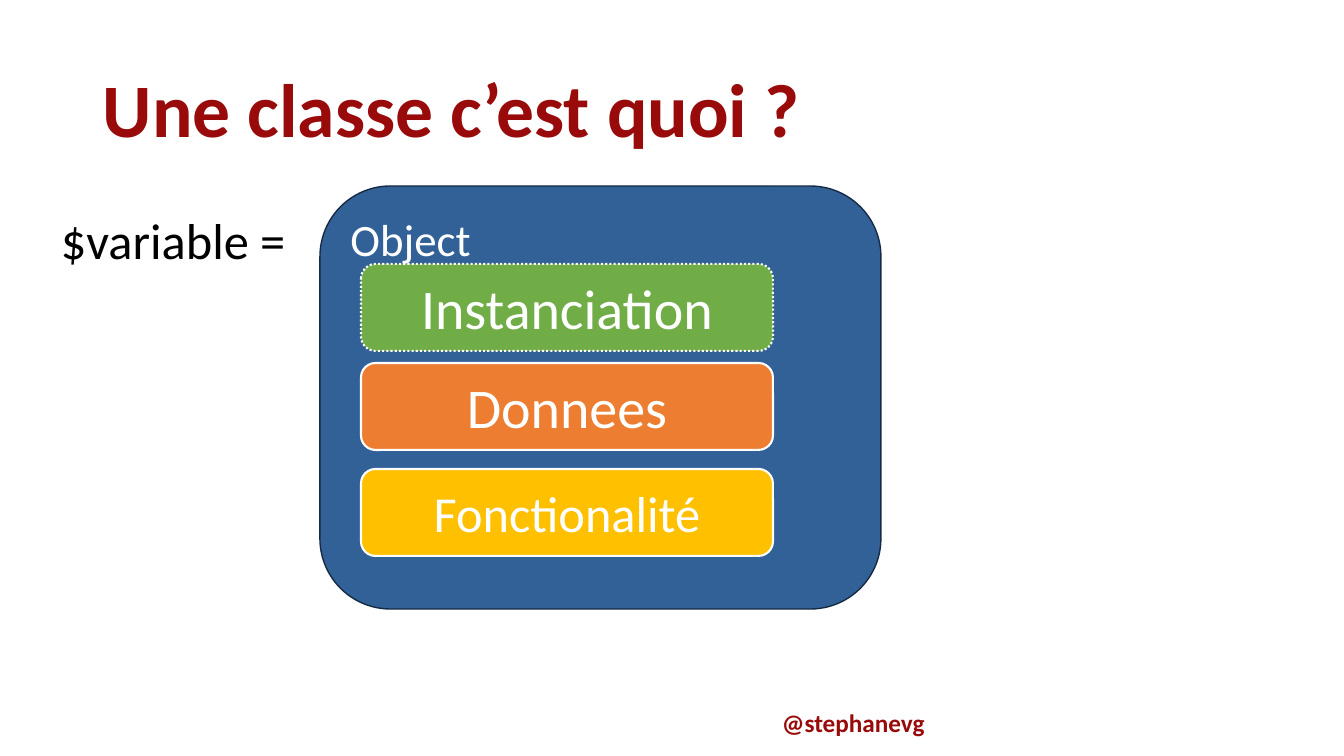
"""Build a slide that shows what a class is made of."""
from pptx import Presentation
from pptx import util as u
from pptx.dml.color import RGBColor
from pptx.enum import dml, shapes, text


class Deck:
    """Hold the style and the current slide, and draw its elements."""

    EMU_PER_PX = 914400 / 100.8
    FONT = "Calibri"
    COLORS = {
        "red": "990A0A",
        "black": "000000",
        "white": "FFFFFF",
        "blue": "326198",
        "navy": "162B43",
        "green": "70AD47",
        "orange": "ED7D31",
        "yellow": "FFC000",
    }

    def __init__(self, width, height):
        self.prs = Presentation()
        self.prs.slide_width = self.px(width)
        self.prs.slide_height = self.px(height)
        self.s = self.prs.slides.add_slide(self.prs.slide_layouts[6])

    def px(self, n):
        return u.Emu(round(n * self.EMU_PER_PX))

    def color(self, name):
        return RGBColor.from_string(self.COLORS[name])

    def set_text(self, sp, words, size, color, bold=False, centred=False,
                 middle=False, spacing=1.0):
        tf = sp.text_frame
        tf.word_wrap = True
        tf.vertical_anchor = (text.MSO_ANCHOR.MIDDLE if middle
                              else text.MSO_ANCHOR.TOP)
        p = tf.paragraphs[0]
        p.text = words
        p.alignment = text.PP_ALIGN.CENTER if centred else text.PP_ALIGN.LEFT
        p.line_spacing = spacing
        p.font.name = self.FONT
        p.font.size = u.Pt(size)
        p.font.bold = bold
        p.font.color.rgb = self.color(color)

    def label(self, box, words, size, color, **style):
        sp = self.s.shapes.add_textbox(*map(self.px, box))
        self.set_text(sp, words, size, color, **style)

    def block(self, box, words, size, fill, line, weight, dash=None, **style):
        sp = self.s.shapes.add_shape(
            shapes.MSO_SHAPE.ROUNDED_RECTANGLE, *map(self.px, box))
        sp.shadow.inherit = False
        sp.fill.solid()
        sp.fill.fore_color.rgb = self.color(fill)
        sp.line.color.rgb = self.color(line)
        sp.line.width = u.Pt(weight)
        if dash:
            sp.line.dash_style = dash
        self.set_text(sp, words, size, "white", **style)


def main():
    deck = Deck(1344, 756)
    deck.label((772, 702, 251, 40), "@stephanevg", 18, "red", bold=True)
    deck.label((93, 40, 1073, 146), "Une classe c’est quoi ?", 54, "red",
               bold=True, middle=True, spacing=0.9)
    deck.block((320, 186, 561, 423), "Object", 32, "blue", "navy", 1)
    members = [
        (363, "Donnees", 40, "orange", None),
        (469, "Fonctionalité", 36, "yellow", None),
        (264, "Instanciation", 40, "green", dml.MSO_LINE.ROUND_DOT),
    ]
    for top, words, size, fill, dash in members:
        deck.block((361, top, 412, 87), words, size, fill, "white", 1.5,
                   dash=dash, centred=True, middle=True)
    deck.label((51, 204, 268, 72), "$variable =", 36, "black")
    deck.prs.save("out.pptx")


if __name__ == "__main__":
    main()
